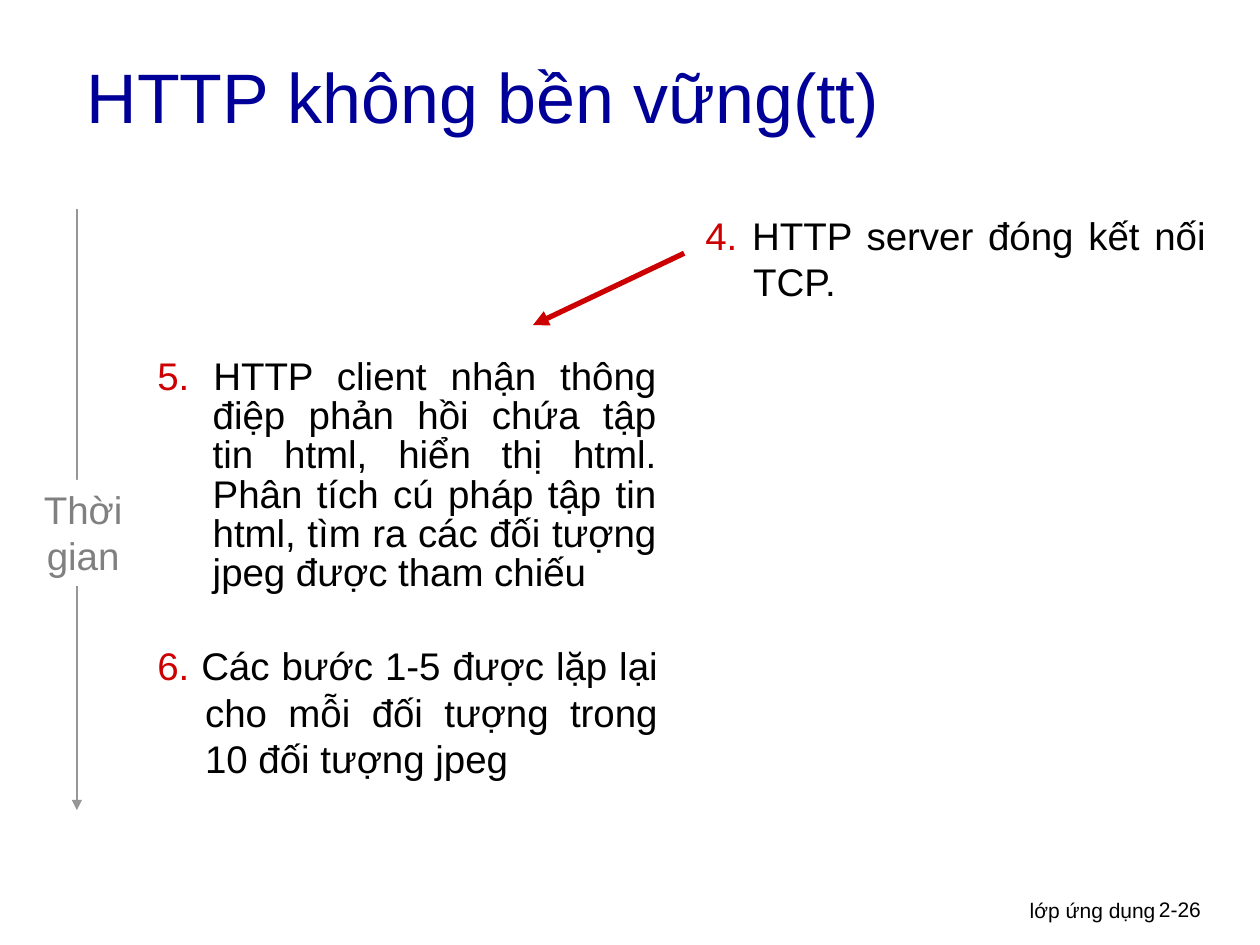
from lxml import etree
from pptx import Presentation
from pptx.dml.color import RGBColor as RGB
from pptx.enum.shapes import MSO_CONNECTOR as Connector, MSO_SHAPE as Shape
from pptx.enum.text import MSO_ANCHOR as Anchor, PP_ALIGN as Align
from pptx.oxml.ns import qn
from pptx.util import Inches, Pt

COLORS = {
    "title": "000099",
    "text": "000000",
    "number": "CC0000",
    "axis": "969696",
    "time": "808080",
    "paper": "FFFFFF",
}


class SlideBuilder:
    font = "Arial"
    body_size = 22

    def __init__(self, slide):
        self.slide = slide

    def color(self, name):
        return RGB.from_string(COLORS[name])

    def style(self, run, size, color):
        run.font.name = self.font
        run.font.size = Pt(size)
        run.font.color.rgb = self.color(color)

    def label(self, box, text, size, color, align=Align.LEFT, anchor=Anchor.TOP):
        frame = box.text_frame
        frame.word_wrap = True
        frame.vertical_anchor = anchor
        frame.text = text
        line = frame.paragraphs[0]
        line.alignment = align
        self.style(line.runs[0], size, color)

    def text(self, left, top, width, height, *args, **kwargs):
        box = self.slide.shapes.add_textbox(*map(Inches, (left, top, width, height)))
        self.label(box, *args, **kwargs)

    def step(self, left, top, width, height, number, text, indent, spacing=None):
        box = self.slide.shapes.add_textbox(*map(Inches, (left, top, width, height)))
        box.text_frame.word_wrap = True
        line = box.text_frame.paragraphs[0]
        line.alignment = Align.JUSTIFY
        if spacing:
            line.line_spacing = spacing
        properties = line._p.get_or_add_pPr()
        properties.set("marL", str(Inches(indent)))
        properties.set("indent", str(-Inches(indent)))
        for part, color in ((number, "number"), (" " + text, "text")):
            run = line.add_run()
            run.text = part
            self.style(run, self.body_size, color)

    def arrow(self, start, end, color, width):
        arrow = self.slide.shapes.add_connector(
            Connector.STRAIGHT, *map(Inches, start + end))
        arrow.line.color.rgb = self.color(color)
        arrow.line.width = Pt(width)
        etree.SubElement(arrow.line._get_or_add_ln(), qn("a:tailEnd"), type="triangle")
        etree.SubElement(arrow._element.spPr, qn("a:effectLst"))

    def plate(self, left, top, width, height, text, color):
        plate = self.slide.shapes.add_shape(
            Shape.RECTANGLE, *map(Inches, (left, top, width, height)))
        plate.shadow.inherit = False
        plate.fill.solid()
        plate.fill.fore_color.rgb = self.color("paper")
        plate.line.fill.background()
        self.label(plate, text, self.body_size, color, Align.CENTER)


def main():
    deck = Presentation()
    deck.slide_width, deck.slide_height = Inches(10), Inches(7.5)
    page = SlideBuilder(deck.slides.add_slide(deck.slide_layouts[6]))

    # Footer
    page.text(6.1, 7.07, 3.17, 0.31, "lớp ứng dụng", 12, "text", Align.RIGHT)
    page.text(9.1, 7.07, 0.74, 0.3, "2-26", 12, "text")

    # Title
    page.text(0.59, 0.28, 8.5, 0.95, "HTTP không bền vững(tt)", 40, "title",
              anchor=Anchor.MIDDLE)

    # Client steps on the left, server step on the right
    client, server = 1.15, 5.5
    page.step(client, 2.8, 4.16, 1.68, "5.",
              "HTTP client nhận thông điệp phản hồi chứa tập tin html, "
              "hiển thị html. Phân tích cú pháp tập tin html, "
              "tìm ra các đối tượng jpeg được tham chiếu", 0.44, 0.85)
    page.step(client, 5.05, 4.17, 0.73, "6.",
              "Các bước 1-5 được lặp lại cho mỗi đối tượng trong 10 đối tượng jpeg",
              0.38)
    page.step(server, 1.63, 4.17, 0.8, "4.", "HTTP server đóng kết nối TCP.", 0.38)

    # Time axis with its label
    page.arrow((0.61, 1.66), (0.61, 6.43), "axis", 1.5)
    page.plate(0.17, 3.81, 0.98, 0.84, "Thời gian", "time")

    # Message from server to client
    page.arrow((5.43, 2.01), (4.23, 2.58), "number", 3)

    deck.save("out.pptx")


if __name__ == "__main__":
    main()
